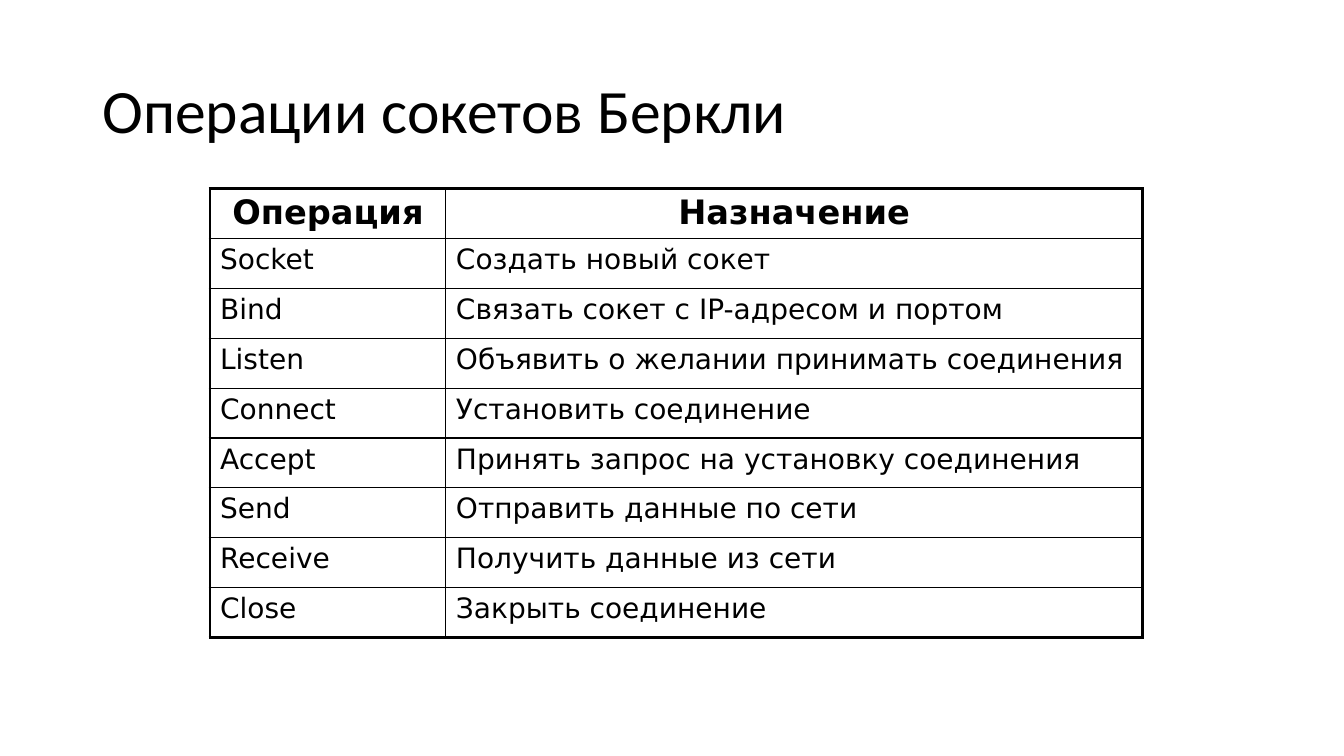
from lxml import etree
from pptx import Presentation
from pptx.dml.color import RGBColor
from pptx.enum import text
from pptx.oxml.ns import qn
from pptx.util import Pt

BLACK = RGBColor(0, 0, 0)
THIN, THICK = Pt(1), Pt(2.25)
ROW = Pt(35.6)
COLS = (Pt(168.5), Pt(497.5))

TITLE = {"name": "Calibri", "size": Pt(44), "bold": False}
HEAD = {"name": "DejaVu Sans", "size": Pt(24), "bold": True}
BODY = {"name": "DejaVu Sans", "size": Pt(20), "bold": False}

CALLS = [
    ("Операция", "Назначение"),
    ("Socket", "Создать новый сокет"),
    ("Bind", "Связать сокет с IP-адресом и портом"),
    ("Listen", "Объявить о желании принимать соединения"),
    ("Connect", "Установить соединение"),
    ("Accept", "Принять запрос на установку соединения"),
    ("Send", "Отправить данные по сети"),
    ("Receive", "Получить данные из сети"),
    ("Close", "Закрыть соединение"),
]


def write(frame, words, style, align=text.PP_ALIGN.LEFT):
    """Put one styled paragraph into a text frame."""
    para = frame.paragraphs[0]
    para.alignment = align
    run = para.add_run()
    run.text = words
    for key, value in style.items():
        setattr(run.font, key, value)
    run.font.color.rgb = BLACK
    return para


def add_title(slide, words):
    box = slide.shapes.add_textbox(Pt(66), Pt(28.8), Pt(828), Pt(104.4))
    frame = box.text_frame
    frame.word_wrap = True
    frame.vertical_anchor = text.MSO_ANCHOR.MIDDLE
    write(frame, words, TITLE).line_spacing = 0.9


def set_edges(cell, edges):
    """Draw the cell borders; edges maps a side to its width."""
    props = cell._tc.get_or_add_tcPr()
    for spot, (side, width) in enumerate(edges.items()):
        line = etree.Element(qn(f"a:ln{side}"), w=str(int(width)))
        fill = etree.SubElement(line, qn("a:solidFill"))
        etree.SubElement(fill, qn("a:srgbClr"), val=str(BLACK))
        props.insert(spot, line)


def add_grid(slide, rows):
    last, end = len(rows) - 1, len(COLS) - 1
    shape = slide.shapes.add_table(len(rows), len(COLS), Pt(150), Pt(134.6),
                                   sum(COLS), ROW * len(rows))
    table = shape.table
    table.horz_banding = False
    for col, width in zip(table.columns, COLS):
        col.width = width
    for r, row in enumerate(rows):
        table.rows[r].height = ROW
        for c, words in enumerate(row):
            cell = table.cell(r, c)
            cell.fill.background()
            if r == 0:
                write(cell.text_frame, words, HEAD, text.PP_ALIGN.CENTER)
            else:
                write(cell.text_frame, words, BODY)
            # Thick outer frame, thin inner lines
            outer = {"L": c == 0, "R": c == end, "T": r == 0, "B": r == last}
            set_edges(cell, {side: THICK if out else THIN
                             for side, out in outer.items()})


def main():
    deck = Presentation()
    deck.slide_width, deck.slide_height = Pt(960), Pt(540)
    slide = deck.slides.add_slide(deck.slide_layouts[6])
    # Heading
    add_title(slide, "Операции сокетов Беркли")
    # Socket calls and their purpose
    add_grid(slide, CALLS)
    deck.save("out.pptx")


if __name__ == "__main__":
    main()
